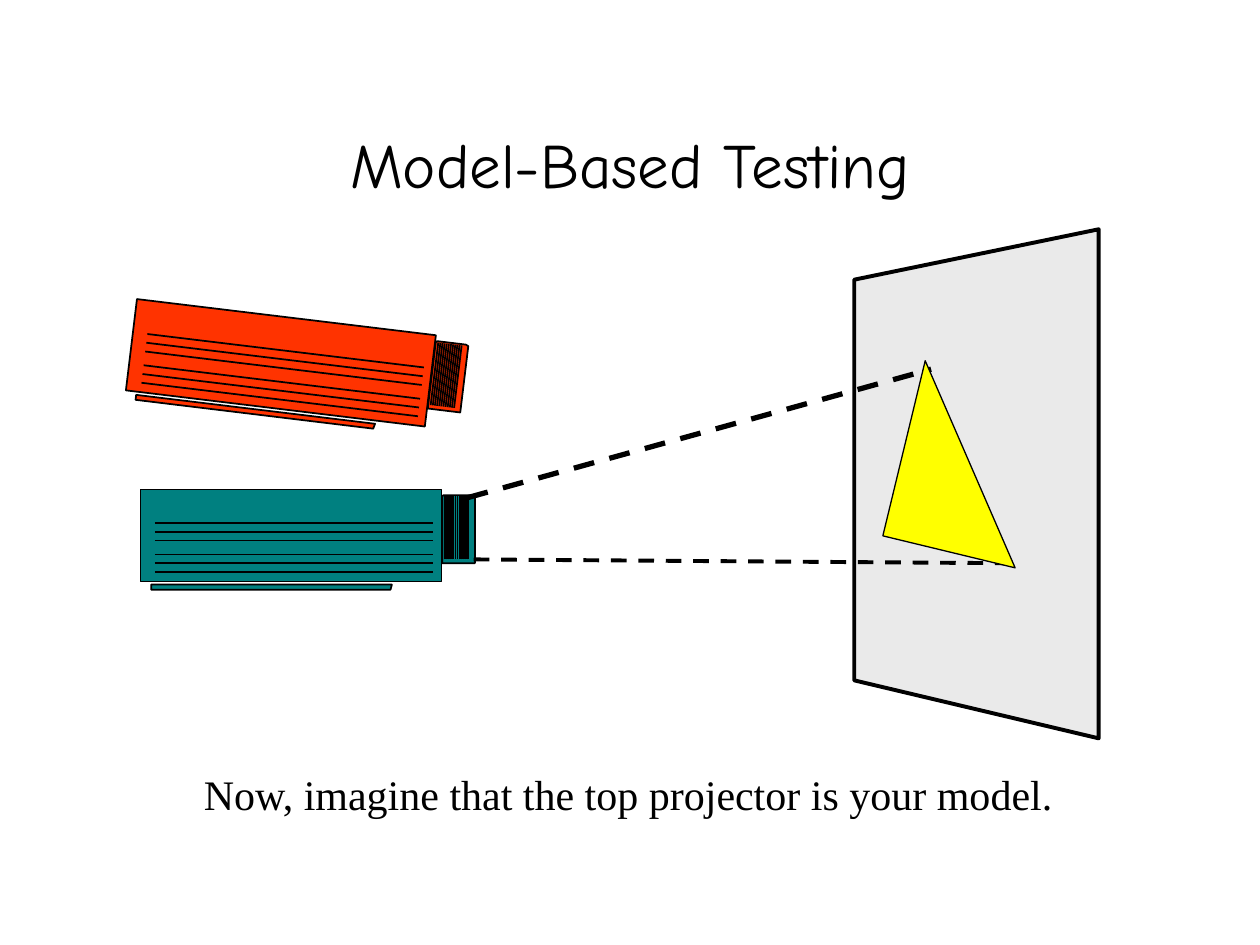
"""Build the Model-Based Testing slide with two projectors and a screen."""
import math
from dataclasses import dataclass

import pptx
import pptx.dml.color
import pptx.enum.dml
import pptx.enum.shapes
import pptx.enum.text
import pptx.oxml
import pptx.oxml.ns
import pptx.util
from pptx.util import Inches

Point = tuple[float, float]

BLACK = "000000"
BODY_WIDTH, BODY_HEIGHT = 2.39, 0.73
VENT_OFFSETS = (-0.1, -0.03, 0.04, 0.15, 0.22, 0.29)
FOOT = [(0.8, 0.39), (-1.11, 0.39), (-1.11, 0.43), (0.79, 0.43)]
LENS = [(1.46, 0.22), (1.46, -0.31), (1.44, -0.32), (1.21, -0.32),
        (1.2, -0.31), (1.2, 0.22)]
RIDGE_COUNT, RIDGE_START, RIDGE_GAP = 12, 1.22, 0.017


@dataclass(frozen=True)
class Projector:
    """A projector placed by the centre and tilt of its body."""
    centre: Point
    tilt: float
    color: str

    def place(self, point: Point) -> Point:
        """Turn a point relative to the body centre into a slide position."""
        angle = math.radians(self.tilt)
        x, y = point
        return (self.centre[0] + x * math.cos(angle) - y * math.sin(angle),
                self.centre[1] + x * math.sin(angle) + y * math.cos(angle))


def rgb(color: str) -> pptx.dml.color.RGBColor:
    """Return the colour for a hex string."""
    return pptx.dml.color.RGBColor.from_string(color)


def style(shape, fill: str, width: float) -> None:
    """Give a shape a plain fill and a black outline without shadow."""
    shape.shadow.inherit = False
    shape.fill.solid()
    shape.fill.fore_color.rgb = rgb(fill)
    shape.line.color.rgb = rgb(BLACK)
    shape.line.width = pptx.util.Pt(width)


def draw_polygon(slide, points: list[Point], fill: str, width: float) -> None:
    """Draw a closed outline through the points."""
    corners = [(Inches(x), Inches(y)) for x, y in points]
    builder = slide.shapes.build_freeform(*corners[0])
    builder.add_line_segments(corners[1:], close=True)
    style(builder.convert_to_shape(), fill, width)


def draw_line(slide, start: Point, end: Point, width: float = 1, dashed: bool = False) -> None:
    """Draw a straight black line, dashed on request."""
    line = slide.shapes.add_connector(
        pptx.enum.shapes.MSO_CONNECTOR.STRAIGHT,
        *(Inches(value) for value in (*start, *end)))
    line.line.color.rgb = rgb(BLACK)
    line.line.width = pptx.util.Pt(width)
    if dashed:
        line.line.dash_style = pptx.enum.dml.MSO_LINE.DASH
    properties = line._element.spPr
    properties.append(pptx.oxml.parse_xml(
        f"<a:effectLst {pptx.oxml.ns.nsdecls('a')}/>"))


def draw_projector(slide, projector: Projector) -> None:
    """Draw the body, vents, foot and ridged lens of a projector."""
    x, y = projector.centre
    body = slide.shapes.add_shape(
        pptx.enum.shapes.MSO_SHAPE.RECTANGLE,
        Inches(x - BODY_WIDTH / 2), Inches(y - BODY_HEIGHT / 2),
        Inches(BODY_WIDTH), Inches(BODY_HEIGHT))
    body.rotation = projector.tilt
    style(body, projector.color, 1)
    for offset in VENT_OFFSETS:
        draw_line(slide, projector.place((-1.08, offset)), projector.place((1.13, offset)))
    for outline in (FOOT, LENS):
        draw_polygon(slide, [projector.place(point) for point in outline], projector.color, 1)
    for index in range(RIDGE_COUNT):
        ridge = RIDGE_START + index * RIDGE_GAP
        draw_line(slide, projector.place((ridge, 0.19)), projector.place((ridge, -0.31)))


def write(shape, text: str, font: str, size: float) -> None:
    """Write one black paragraph into a shape."""
    paragraph = shape.text_frame.paragraphs[0]
    paragraph.text = text
    for run in paragraph.runs:
        run.font.name = font
        run.font.size = pptx.util.Pt(size)
        run.font.color.rgb = rgb(BLACK)


def main() -> None:
    """Build and save the slide."""
    deck = pptx.Presentation()
    deck.slide_width, deck.slide_height = Inches(10), Inches(7.5)
    slide = deck.slides.add_slide(deck.slide_layouts[5])

    title = slide.shapes.title
    title.left, title.top = Inches(0.75), Inches(0.67)
    title.width, title.height = Inches(8.5), Inches(1.25)
    write(title, "Model-Based Testing", "Comic Neue", 36)
    title.text_frame.vertical_anchor = pptx.enum.text.MSO_ANCHOR.MIDDLE
    title.text_frame.paragraphs[0].alignment = pptx.enum.text.PP_ALIGN.CENTER

    draw_polygon(slide, [(8.72, 1.82), (8.72, 5.86), (6.78, 5.4), (6.78, 2.22)],
                 "EAEAEA", 2.25)
    draw_projector(slide, Projector((2.31, 4.25), 0, "008080"))
    draw_line(slide, (3.71, 3.95), (7.39, 2.93), 3, dashed=True)
    draw_line(slide, (3.76, 4.44), (7.97, 4.47), 2.25, dashed=True)
    projection = slide.shapes.add_shape(
        pptx.enum.shapes.MSO_SHAPE.RIGHT_TRIANGLE,
        Inches(7.16), Inches(2.97), Inches(1.08), Inches(1.43))
    projection.rotation = 13.6
    style(projection, "FFFF00", 0.75)
    draw_projector(slide, Projector((2.23, 2.88), 6.9, "FF3300"))

    caption = slide.shapes.add_textbox(
        Inches(1.52), Inches(6.05), Inches(6.96), Inches(0.5))
    caption.text_frame.word_wrap = False
    caption.text_frame.auto_size = pptx.enum.text.MSO_AUTO_SIZE.SHAPE_TO_FIT_TEXT
    write(caption, "Now, imagine that the top projector is your model.",
          "Times New Roman", 24)

    deck.save("out.pptx")


if __name__ == "__main__":
    main()
